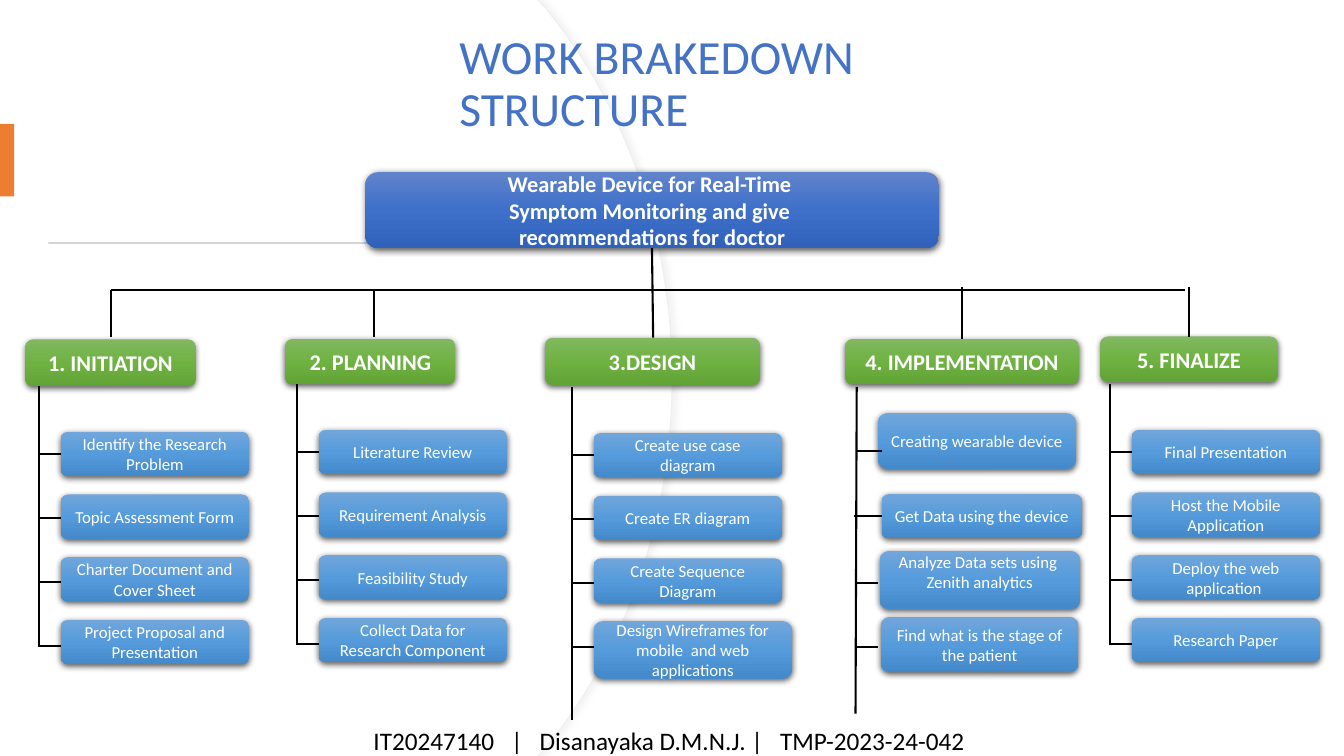
from copy import deepcopy

from lxml import etree
from pptx import Presentation
from pptx.dml.color import RGBColor
from pptx.enum.shapes import MSO_CONNECTOR, MSO_SHAPE
from pptx.enum.text import MSO_ANCHOR, MSO_AUTO_SIZE, PP_ALIGN
from pptx.oxml.ns import qn
from pptx.util import Cm, Pt

ROUNDED = MSO_SHAPE.ROUNDED_RECTANGLE
RECT = MSO_SHAPE.RECTANGLE
STRAIGHT = MSO_CONNECTOR.STRAIGHT
MIDDLE, TOP = MSO_ANCHOR.MIDDLE, MSO_ANCHOR.TOP
LEFT, CENTER = PP_ALIGN.LEFT, PP_ALIGN.CENTER
NO_FIT = MSO_AUTO_SIZE.NONE
rgb = RGBColor.from_string

FONT = "Calibri"
BLUE = ("6183CB", "3E70CA", "3062BB")
GREEN = ("81B861", "6FB242", "62A336")
SKY = ("71A6DB", "559BDB", "448ACA")
TASK_W, TASK_H, TASK_STEP = 4.75, 1.12, 1.58
BRANCH_STEP, BRANCH_LEN = 1.61, 0.55


def add_shadow(sp, color, alpha, blur, dist, angle):
    sp.shadow.inherit = False
    effects = sp._element.spPr.find(qn("a:effectLst"))
    outer = etree.SubElement(effects, qn("a:outerShdw"), blurRad=str(Pt(blur)),
                             dist=str(Pt(dist)), dir=str(angle * 60000),
                             algn="ctr", rotWithShape="0")
    clr = etree.SubElement(outer, qn("a:srgbClr"), val=color)
    etree.SubElement(clr, qn("a:alpha"), val=str(alpha * 1000))


def add_box(box, lines, colors, size, bold=False):
    sp = s.shapes.add_shape(ROUNDED, *map(Cm, box))
    sp.line.fill.background()
    sp.fill.gradient()
    stops = sp._element.spPr.find(qn("a:gradFill")).find(qn("a:gsLst"))
    stops.append(deepcopy(stops[0]))
    for stop, color, position in zip(sp.fill.gradient_stops, colors, (0, 0.5, 1)):
        stop.color.rgb = rgb(color)
        stop.position = position
    sp.fill.gradient_angle = 270
    add_shadow(sp, "000000", 63, 4.5, 1.5, 90)
    tf = sp.text_frame
    tf.word_wrap = True
    tf.vertical_anchor = MIDDLE
    for i, line in enumerate(lines):
        p = tf.add_paragraph() if i else tf.paragraphs[0]
        p.alignment = CENTER
        r = p.add_run()
        r.text = line
        r.font.name = FONT
        r.font.size = Pt(size)
        r.font.bold = bold
        r.font.color.rgb = rgb("FFFFFF")
    return sp


prs = Presentation()
prs.slide_width, prs.slide_height = Cm(33.87), Cm(19.05)
s = prs.slides.add_slide(prs.slide_layouts[5])

for shift in (0, 0.03):
    corner, start, bend, edge = (x - shift for x in (13.56, 13.74, 15.72, 16.94))
    outline = [(corner, 0), (start, 0.2), (edge, 9.53), (start, 18.85), (corner, 19.05), (0, 19.05)]
    fb = s.shapes.build_freeform(0, 0)
    fb.add_line_segments([(Cm(x), Cm(y)) for x, y in outline], close=True)
    sp = fb.convert_to_shape()
    segments = list(sp._element.iter(qn("a:lnTo")))
    for segment, controls in ((segments[2], [(bend, 2.59), (edge, 5.89)]),
                              (segments[3], [(edge, 13.16), (bend, 16.46)])):
        segment.tag = qn("a:cubicBezTo")
        for i, (x, y) in enumerate(controls):
            segment.insert(i, segment.makeelement(qn("a:pt"), x=str(Cm(x)), y=str(Cm(y))))
    sp.fill.solid()
    sp.fill.fore_color.rgb = rgb("FFFFFF")
    if shift:
        sp.shadow.inherit = False
        sp.line.fill.background()
    else:
        add_shadow(sp, "D9D9D9", 30, 4, 3, 0)
        sp.line.color.rgb = rgb("EFEFEF")
        sp.line.width = Pt(0.75)

title = s.shapes.title
s.shapes._spTree.append(title._element)
title.left, title.top, title.width, title.height = Cm(11.32), Cm(0.42), Cm(13.87), Cm(3.45)
footer = s.shapes.add_textbox(Cm(0), Cm(18.36), Cm(33.87), Cm(0.58))
for sp, text, size, color, align in (
    (title, "WORK BRAKEDOWN STRUCTURE", 34, "4472C4", LEFT),
    (footer, "IT20247140   |   Disanayaka D.M.N.J. |   TMP-2023-24-042 ", 18, "000000", CENTER),
):
    tf = sp.text_frame
    tf.word_wrap = True
    tf.auto_size = NO_FIT
    tf.vertical_anchor = MIDDLE
    p = tf.paragraphs[0]
    p.alignment = align
    r = p.add_run()
    r.text = text
    r.font.name = FONT
    r.font.size = Pt(size)
    r.font.color.rgb = rgb(color)
title.text_frame.paragraphs[0].line_spacing = 0.9

for box, color in (((0, 3.12, 0.36, 1.83), "ED7D31"), ((1.22, 6.1, 13.84, 0.05), "D5D5D5")):
    sp = s.shapes.add_shape(RECT, *map(Cm, box))
    sp.shadow.inherit = False
    sp.fill.solid()
    sp.fill.fore_color.rgb = rgb(color)
    sp.line.fill.background()

add_box((9.21, 4.34, 14.45, 1.91),
        ["Wearable Device for Real-Time ", "Symptom Monitoring and give ", "recommendations for doctor"],
        BLUE, 16, True)

headers = [
    ("1. INITIATION", (0.64, 8.55, 4.29, 1.19)),
    ("2. PLANNING", (7.19, 8.54, 4.29, 1.14)),
    ("3.DESIGN", (13.74, 8.51, 5.41, 1.19)),
    ("4. IMPLEMENTATION", (21.3, 8.54, 5.89, 1.14)),
    ("5. FINALIZE", (27.73, 8.48, 4.47, 1.14)),
]
for label, box in headers:
    add_box(box, [label], GREEN, 16, True)

lines = [
    (16.43, 6.25, 16.46, 8.51),
    (2.79, 7.31, 29.87, 7.31),
    (2.79, 7.31, 2.79, 8.48),
    (9.43, 7.31, 9.43, 8.48),
    (24.24, 7.24, 24.24, 8.53),
    (29.97, 7.24, 29.97, 8.48),
    (0.98, 9.73, 0.98, 16.3),
    (7.48, 9.68, 7.48, 16.25),
    (14.41, 9.75, 14.41, 18.14),
    (21.59, 9.75, 21.56, 17.98),
    (27.97, 9.68, 27.97, 16.25),
    (22.22, 11.36, 21.56, 11.36),
    (22.22, 13, 21.51, 13),
    (22.12, 14.68, 21.59, 14.68),
    (22.12, 16.31, 21.59, 16.31),
]

task_columns = [
    (1.53, 10.88, ["Identify the Research Problem", "Topic Assessment Form",
                   "Charter Document and Cover Sheet", "Project Proposal and Presentation"]),
    (8.03, 10.83, ["Literature Review", "Requirement Analysis",
                   "Feasibility Study", "Collect Data for Research Component"]),
    (14.96, 10.91, ["Create use case diagram", "Create ER diagram", "Create Sequence Diagram",
                    "Design Wireframes for mobile  and web applications"]),
    (28.52, 10.83, ["Final Presentation", "Host the Mobile Application",
                    "Deploy the web application ", "Research Paper"]),
]
for left, top, tasks in task_columns:
    for row, task in enumerate(tasks):
        size = (5, 1.45) if "Wireframes" in task else (TASK_W, TASK_H)
        add_box((left, top + row * TASK_STEP, *size), [task], SKY, 12)
        y = top + 0.56 + row * BRANCH_STEP
        lines.append((left, y, left - BRANCH_LEN, y))

add_box((22.13, 10.41, 4.98, 1.4), ["Creating wearable device"], SKY, 12)
analysis = add_box((22.17, 13.88, 5.05, 1.47), ["Analyze Data sets using ", "Zenith analytics"], SKY, 12)
analysis.text_frame.vertical_anchor = TOP
analysis.text_frame.margin_top = Cm(-0.06)
add_box((22.22, 12.45, 5.05, 1.12), ["Get Data using the device"], SKY, 12)
add_box((22.2, 15.54, 4.98, 1.4), ["Find what is the stage of the patient"], SKY, 12)

for ends in lines:
    cn = s.shapes.add_connector(STRAIGHT, *map(Cm, ends))
    cn.line.color.rgb = rgb("000000")
    cn.line.width = Pt(1.5)
    etree.SubElement(cn._element.spPr, qn("a:effectLst"))

prs.save("out.pptx")
